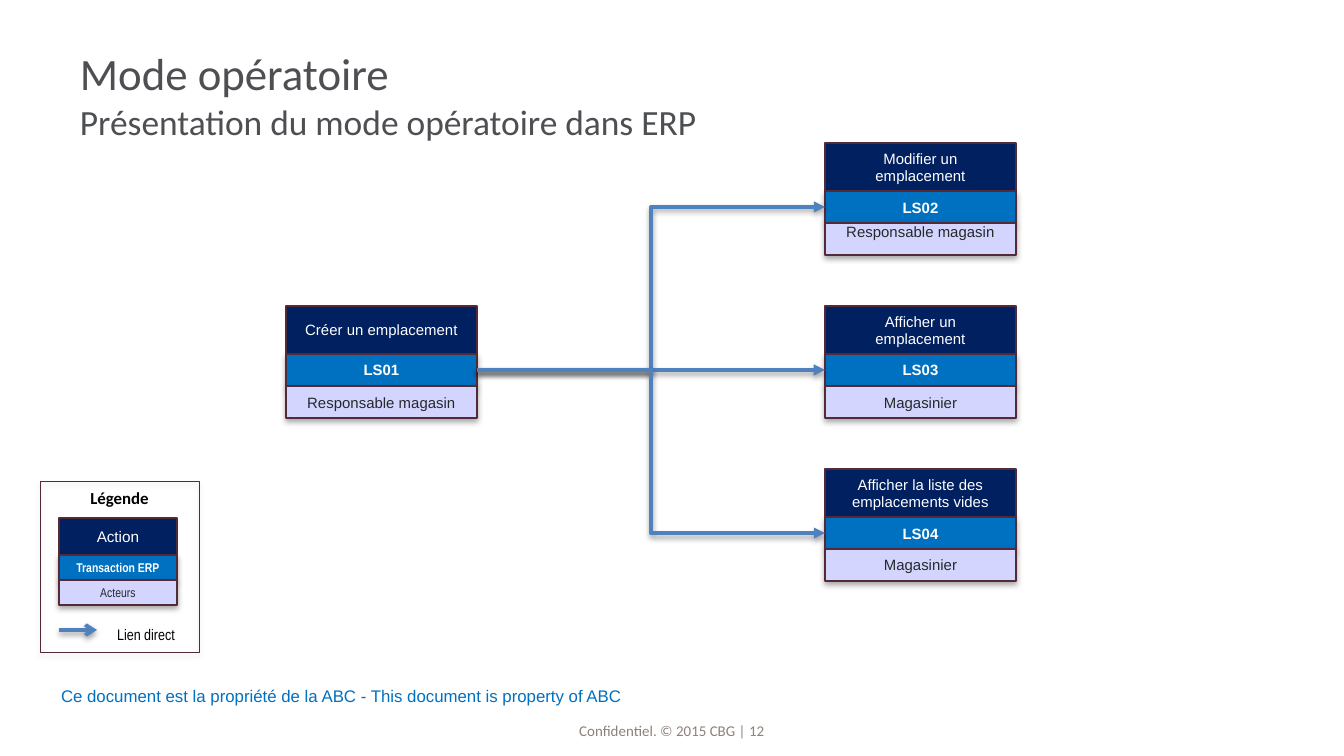
from lxml.etree import SubElement
from pptx import Presentation
from pptx.dml.color import RGBColor
from pptx.enum.shapes import MSO_CONNECTOR, MSO_SHAPE
from pptx.enum.text import MSO_ANCHOR, PP_ALIGN
from pptx.oxml.ns import qn
from pptx.util import Pt

EMU_PER_PX = 914400 / 134.4

NAVY = RGBColor(0x00, 0x20, 0x60)
BLUE = RGBColor(0x00, 0x70, 0xC0)
LILAC = RGBColor(0xD3, 0xD5, 0xFF)
PLUM = RGBColor(0x55, 0x2A, 0x37)
STEEL = RGBColor(0x4F, 0x81, 0xBD)
GREY = RGBColor(0x4D, 0x4F, 0x53)
TAUPE = RGBColor(0x8D, 0x81, 0x7B)
INK = RGBColor(0x26, 0x28, 0x2A)
BLACK = RGBColor(0x00, 0x00, 0x00)
WHITE = RGBColor(0xFF, 0xFF, 0xFF)


def px(n):
    return round(n * EMU_PER_PX)


def write(p, text, size=8, font="Arial", color=BLACK, bold=False, align=PP_ALIGN.CENTER):
    p.alignment = align
    r = p.add_run()
    r.text = text
    r.font.size = Pt(size)
    r.font.name = font
    r.font.bold = bold
    r.font.color.rgb = color


class Diagram:
    def __init__(self, slide):
        self.shapes = slide.shapes

    def effect(self, sp, opacity=0, dist=1.8):
        effects = SubElement(sp._element.spPr, qn("a:effectLst"))
        if opacity:
            shadow = SubElement(effects, qn("a:outerShdw"), blurRad=str(Pt(3.1)),
                                dist=str(Pt(dist)), dir="5400000", rotWithShape="0")
            color = SubElement(shadow, qn("a:srgbClr"), val="000000")
            SubElement(color, qn("a:alpha"), val=str(opacity * 1000))

    def frame(self, tf, anchor, inset_x, inset_y, wrap=True):
        tf.word_wrap = wrap
        tf.vertical_anchor = anchor
        tf.margin_left = tf.margin_right = px(inset_x)
        tf.margin_top = tf.margin_bottom = px(inset_y)
        return tf.paragraphs[0]

    def text(self, x, y, w, h, text, anchor=MSO_ANCHOR.MIDDLE, inset_x=13,
             inset_y=7, wrap=True, **fmt):
        sp = self.shapes.add_textbox(px(x), px(y), px(w), px(h))
        p = self.frame(sp.text_frame, anchor, inset_x, inset_y, wrap)
        write(p, text, **fmt)
        return p

    def box(self, x, y, w, h, fill=None, line=0.75, opacity=35):
        sp = self.shapes.add_shape(MSO_SHAPE.RECTANGLE, px(x), px(y), px(w), px(h))
        if fill is None:
            sp.fill.background()
        else:
            sp.fill.solid()
            sp.fill.fore_color.rgb = fill
        sp.line.color.rgb = PLUM
        sp.line.width = Pt(line)
        self.effect(sp, opacity)
        return sp

    def card(self, x, y, w, heights, texts, sizes=(8, 8, 8),
             fonts=("Arial", "Arial", "Arial"), inset=15, actor_anchor=MSO_ANCHOR.MIDDLE):
        rows = []
        for i, (h, text, size, font) in enumerate(zip(heights, texts, sizes, fonts)):
            sp = self.box(x, y, w, h, (NAVY, BLUE, LILAC)[i], opacity=(0, 35, 35)[i])
            anchor = actor_anchor if i == 2 else MSO_ANCHOR.MIDDLE
            p = self.frame(sp.text_frame, anchor, inset, 0)
            write(p, text, size, font, (WHITE, WHITE, INK)[i], bold=i == 1)
            rows.append(sp)
            y += h
        return rows[1]

    def arrow(self, kind, x1, y1, x2, y2, head="triangle"):
        cn = self.shapes.add_connector(kind, px(x1), px(y1), px(x2), px(y2))
        cn.line.color.rgb = STEEL
        cn.line.width = Pt(2)
        SubElement(cn.line._get_or_add_ln(), qn("a:tailEnd"), type=head)
        self.effect(cn, 38, 1.6)
        return cn

    def link(self, start, end, kind):
        cn = self.arrow(kind, 0, 0, 1, 1)
        cn.begin_connect(start, 3)
        cn.end_connect(end, 1)


def main():
    prs = Presentation()
    prs.slide_width, prs.slide_height = px(1344), px(756)
    d = Diagram(prs.slides.add_slide(prs.slide_layouts[6]))

    d.text(457, 716, 430, 23, "Confidentiel. © 2015 CBG | 12", MSO_ANCHOR.BOTTOM,
           0, 0, font="Calibri", color=TAUPE)
    d.text(42, 680, 598, 32,
           "Ce document est la propriété de la ABC - This document is property of ABC",
           size=9, color=BLUE)
    heading = dict(font="Calibri", color=GREY, align=PP_ALIGN.LEFT)
    p = d.text(67, 31, 1210, 126, "Mode opératoire", size=24, **heading)
    p.add_line_break()
    write(p, "Présentation du mode opératoire dans ERP", 19, **heading)

    d.card(59, 518, 118, (37, 25, 25), ("Action", "Transaction ERP", "Acteurs"),
           (8.2, 6.8, 6.8), ("Arial", "Arial Narrow", "Arial Narrow"), inset=0)
    d.arrow(MSO_CONNECTOR.STRAIGHT, 59, 630, 97, 630, "arrow")
    d.text(103, 618, 86, 32, "Lien direct", MSO_ANCHOR.TOP, wrap=False,
           size=8.2, font="Arial Narrow")
    d.box(40, 481, 159, 171, line=0.25)
    d.text(40, 481, 159, 34, "Légende", MSO_ANCHOR.TOP, size=9, font="Calibri", bold=True)

    top, pitch, width, heights = 143, 163, 191, (48, 32, 32)
    source = d.card(286, top + pitch, width, heights,
                    ("Créer un emplacement", "LS01", "Responsable magasin"))
    targets = [
        ("Modifier un emplacement", "LS02", "Responsable magasin"),
        ("Afficher un emplacement", "LS03", "Magasinier"),
        ("Afficher la liste des emplacements vides", "LS04", "Magasinier"),
    ]
    for i, texts in enumerate(targets):
        anchor = MSO_ANCHOR.TOP if i == 0 else MSO_ANCHOR.MIDDLE
        target = d.card(825, top + i * pitch, width, heights, texts, actor_anchor=anchor)
        d.link(source, target, MSO_CONNECTOR.STRAIGHT if i == 1 else MSO_CONNECTOR.ELBOW)

    prs.save("out.pptx")


if __name__ == "__main__":
    main()
